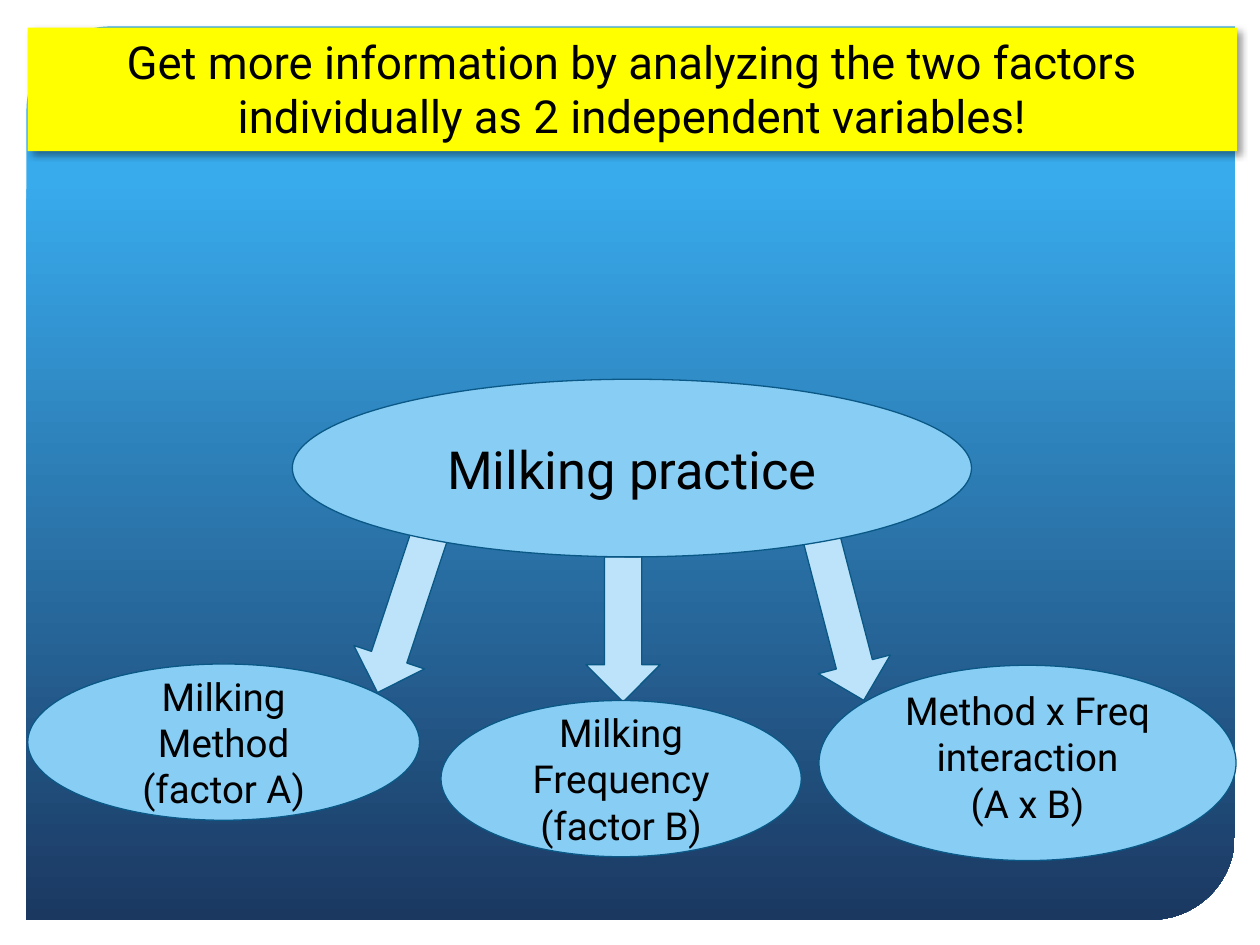
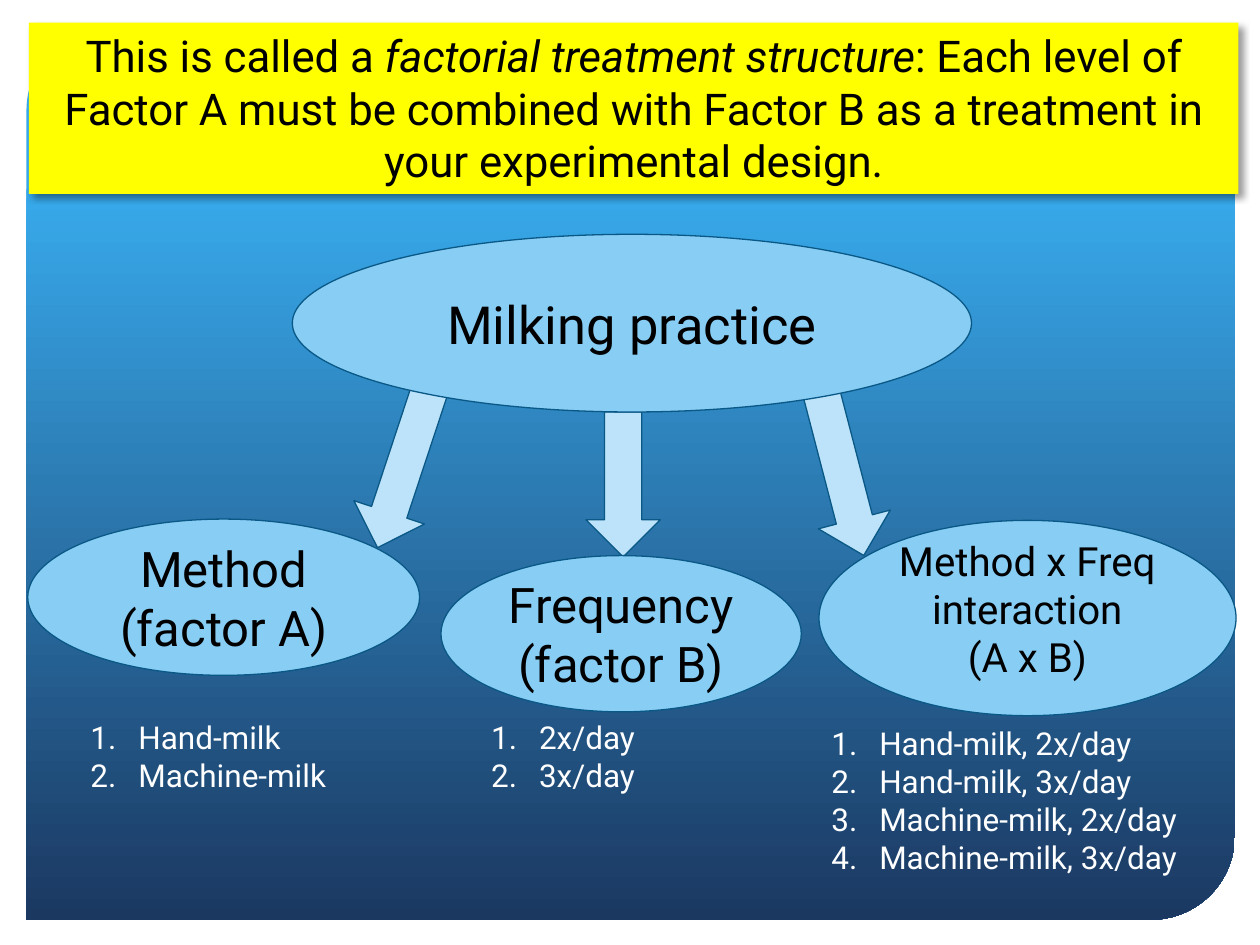
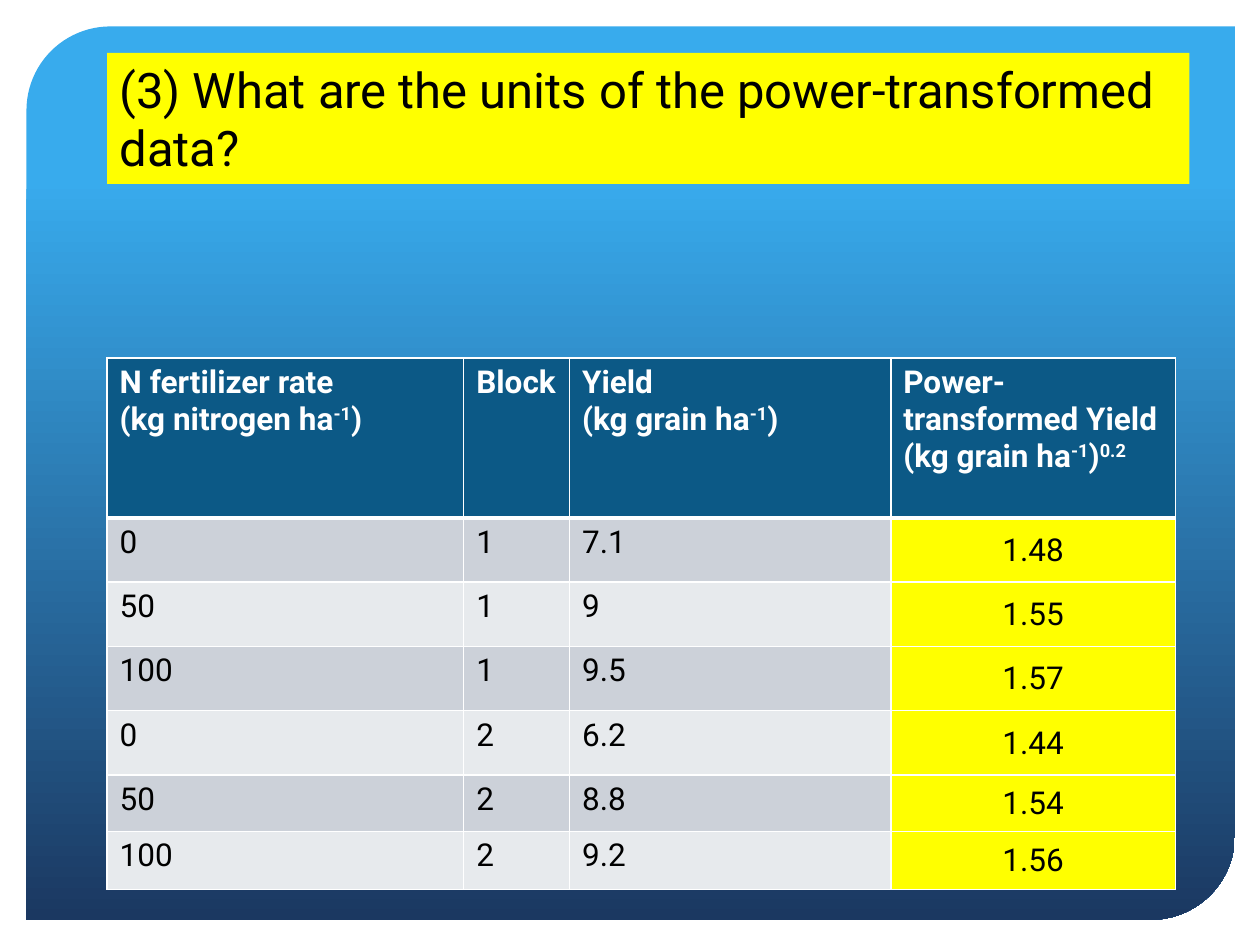
"""Build three slides on factorial treatments and power-transformed yields."""
from typing import NamedTuple

from lxml import etree
from pptx import Presentation
from pptx.dml.color import RGBColor
from pptx.enum.shapes import MSO_SHAPE
from pptx.enum.text import MSO_ANCHOR, PP_ALIGN
from pptx.oxml.ns import qn
from pptx.util import Inches, Pt

DIAGONAL, ELLIPSE = MSO_SHAPE.ROUND_2_DIAG_RECTANGLE, MSO_SHAPE.OVAL
ARROW, RECTANGLE = MSO_SHAPE.RIGHT_ARROW, MSO_SHAPE.RECTANGLE
TOP, MIDDLE, BOTTOM = MSO_ANCHOR.TOP, MSO_ANCHOR.MIDDLE, MSO_ANCHOR.BOTTOM
LEFT, CENTER = PP_ALIGN.LEFT, PP_ALIGN.CENTER

FONT = "Roboto"
BLACK = RGBColor(0x00, 0x00, 0x00)
WHITE = RGBColor(0xFF, 0xFF, 0xFF)
YELLOW = RGBColor(0xFF, 0xFF, 0x00)
SKY = RGBColor(0x38, 0xAB, 0xED)
NAVY = RGBColor(0x1B, 0x38, 0x61)
NODE_BLUE = RGBColor(0x88, 0xCD, 0xF4)
ARROW_BLUE = RGBColor(0xBC, 0xE3, 0xF9)
OUTLINE = RGBColor(0x09, 0x58, 0x86)
HEADER_BLUE = RGBColor(0x0C, 0x59, 0x86)
BANDS = (RGBColor(0xCC, 0xD1, 0xD9), RGBColor(0xE7, 0xEA, 0xED))


class Span(NamedTuple):
    """A run of text with its emphasis."""

    text: str
    italic: bool = False
    raised: bool = False


class Area(NamedTuple):
    """A rectangle in inches."""

    left: float
    top: float
    width: float
    height: float

    def lowered(self, distance: float) -> "Area":
        """Return the same rectangle further down."""
        return self._replace(top=self.top + distance)

    def lengths(self) -> tuple:
        """Return the four lengths for python-pptx."""
        return tuple(Inches(value) for value in self)


class Node(NamedTuple):
    """An ellipse of the diagram, placed from the diagram's top."""

    area: Area
    anchor: MSO_ANCHOR = MIDDLE


class Arrow(NamedTuple):
    """A block arrow of the diagram, placed from the diagram's top."""

    area: Area
    rotation: float


class Label(NamedTuple):
    """The lines written in a node and their size."""

    lines: tuple
    size: int


class NumberedList(NamedTuple):
    """A numbered list below a node."""

    area: Area
    items: tuple


PANEL = Area(0.21, 0.21, 9.59, 7.09)
ARROWS = (
    Arrow(Area(2.54, 1.56, 1.33, 0.59), 108.3),
    Arrow(Area(4.37, 1.69, 1.15, 0.59), 90),
    Arrow(Area(6.01, 1.6, 1.35, 0.59), 75.4),
)
PRACTICE = Node(Area(2.32, 0, 5.39, 1.41))
INTERACTION = Node(Area(6.5, 2.27, 3.31, 1.55), BOTTOM)
FREQUENCY = Node(Area(3.5, 2.55, 2.86, 1.24))
METHOD = Node(Area(0.22, 2.26, 3.11, 1.24))
NODES = (PRACTICE, INTERACTION, FREQUENCY, METHOD)
PRACTICE_LABEL = Label(("Milking practice",), 30)
INTERACTION_LINES = ("Method x Freq interaction", "(A x B)")

SEPARATE_LABELS = (
    PRACTICE_LABEL,
    Label(INTERACTION_LINES, 22),
    Label(("Milking Frequency", "(factor B)"), 22),
    Label(("Milking Method (factor A)",), 22),
)
FACTORIAL_LABELS = (
    PRACTICE_LABEL,
    Label(INTERACTION_LINES, 23),
    Label(("Frequency", "(factor B)"), 28),
    Label(("Method (factor A)",), 28),
)
METHODS = ("Hand-milk", "Machine-milk")
FREQUENCIES = ("2x/day", "3x/day")
LEVEL_LISTS = (
    NumberedList(Area(0.62, 5.65, 2.1, 0.71), METHODS),
    NumberedList(Area(3.8, 5.65, 1.63, 0.71), FREQUENCIES),
    NumberedList(
        Area(6.5, 5.7, 3.32, 1.62),
        tuple(f"{method}, {rate}" for method in METHODS for rate in FREQUENCIES),
    ),
)

TABLE_AREA = Area(0.85, 2.84, 8.48, 4.22)
COLUMN_WIDTHS = (2.83, 0.84, 2.55, 2.26)
ROW_HEIGHTS = (1.27, 0.51, 0.51, 0.51, 0.51, 0.45, 0.46)
PER_HECTARE = (Span("(kg grain ha"), Span("-1", raised=True), Span(")"))
HEADERS = (
    (
        (Span("N fertilizer rate"),),
        (Span("(kg nitrogen ha"), Span("-1", raised=True), Span(")")),
    ),
    ((Span("Block"),),),
    ((Span("Yield"),), PER_HECTARE),
    (
        (Span("Power-transformed Yield"),),
        PER_HECTARE + (Span("0.2", raised=True),),
    ),
)
YIELDS = (
    ("0", "1", "7.1", "1.48"),
    ("50", "1", "9", "1.55"),
    ("100", "1", "9.5", "1.57"),
    ("0", "2", "6.2", "1.44"),
    ("50", "2", "8.8", "1.54"),
    ("100", "2", "9.2", "1.56"),
)


def plain(lines: tuple) -> tuple:
    """Turn lines of text into paragraphs of one span."""
    return tuple((Span(line),) for line in lines)


def write(frame, paragraphs: tuple, size: int, color: RGBColor = BLACK,
          align: PP_ALIGN = LEFT, bold: bool = False) -> None:
    """Fill a text frame run by run."""
    for index, spans in enumerate(paragraphs):
        para = frame.paragraphs[0] if index == 0 else frame.add_paragraph()
        para.alignment = align
        for span in spans:
            run = para.add_run()
            run.text = span.text
            run.font.name = FONT
            run.font.size = Pt(size)
            run.font.bold = bold
            run.font.italic = span.italic
            run.font.color.rgb = color
            if span.raised:
                run._r.get_or_add_rPr().set("baseline", "30000")


def add_box(page, kind: MSO_SHAPE, area: Area, fill: RGBColor | None = None,
            outlined: bool = False):
    """Add a preset shape without the theme's shadow."""
    box = page.shapes.add_shape(kind, *area.lengths())
    box.shadow.inherit = False
    if fill is not None:
        box.fill.solid()
        box.fill.fore_color.rgb = fill
    if outlined:
        box.line.color.rgb = OUTLINE
        box.line.width = Pt(0.75)
    else:
        box.line.fill.background()
    return box


def add_page(deck):
    """Add a blank slide with the gradient panel."""
    page = deck.slides.add_slide(deck.slide_layouts[6])
    panel = add_box(page, DIAGONAL, PANEL)
    panel.adjustments[0] = 0.094
    panel.adjustments[1] = 0
    panel.fill.gradient()
    panel.fill.gradient_angle = 270
    stops = ((0.17, SKY), (1.0, NAVY))
    for stop, (position, color) in zip(panel.fill.gradient_stops, stops):
        stop.position = position
        stop.color.rgb = color
    return page


def add_shadow(box) -> None:
    """Cast a soft shadow to the lower right."""
    effects = box._element.spPr.find(qn("a:effectLst"))
    shadow = etree.SubElement(
        effects, qn("a:outerShdw"), blurRad=str(Pt(4)), dist=str(Pt(3)),
        dir="2700000", algn="tl", rotWithShape="0",
    )
    color = etree.SubElement(shadow, qn("a:srgbClr"), val=str(BLACK))
    etree.SubElement(color, qn("a:alpha"), val="40000")


def add_banner(page, area: Area, spans: tuple, size: int,
               align: PP_ALIGN = CENTER, shadowed: bool = True) -> None:
    """Add the yellow headline."""
    banner = add_box(page, RECTANGLE, area, YELLOW)
    if shadowed:
        add_shadow(banner)
    banner.text_frame.word_wrap = True
    banner.text_frame.vertical_anchor = TOP
    write(banner.text_frame, (spans,), size, align=align)


def add_diagram(page, top: float, labels: tuple) -> None:
    """Add the milking practice and its three effects."""
    for arrow in ARROWS:
        box = add_box(page, ARROW, arrow.area.lowered(top), ARROW_BLUE, True)
        box.rotation = arrow.rotation
    for node, label in zip(NODES, labels):
        box = add_box(page, ELLIPSE, node.area.lowered(top), NODE_BLUE, True)
        box.text_frame.word_wrap = True
        box.text_frame.vertical_anchor = node.anchor
        write(box.text_frame, plain(label.lines), label.size, align=CENTER)


def add_numbered_list(page, levels: NumberedList) -> None:
    """Add a numbered list of factor levels."""
    frame = page.shapes.add_textbox(*levels.area.lengths()).text_frame
    frame.word_wrap = True
    write(frame, plain(levels.items), 18, WHITE)
    for para in frame.paragraphs:
        properties = para._p.get_or_add_pPr()
        properties.set("marL", str(Inches(0.38)))
        properties.set("indent", str(Inches(-0.38)))
        etree.SubElement(properties, qn("a:buAutoNum"), type="arabicPeriod")


def style_cell(cell, fill: RGBColor, top: float, bottom: float) -> None:
    """Give a cell white borders and a plain fill."""
    properties = cell._tc.get_or_add_tcPr()
    for side, width in (("L", 1), ("R", 1), ("T", top), ("B", bottom)):
        line = etree.SubElement(properties, qn(f"a:ln{side}"), w=str(Pt(width)))
        paint = etree.SubElement(line, qn("a:solidFill"))
        etree.SubElement(paint, qn("a:srgbClr"), val=str(WHITE))
    cell.fill.solid()
    cell.fill.fore_color.rgb = fill


def add_yield_table(page) -> None:
    """Add the yields with the transformed column highlighted."""
    table = page.shapes.add_table(
        len(ROW_HEIGHTS), len(COLUMN_WIDTHS), *TABLE_AREA.lengths()
    ).table
    for column, width in zip(table.columns, COLUMN_WIDTHS):
        column.width = Inches(width)
    for row, height in zip(table.rows, ROW_HEIGHTS):
        row.height = Inches(height)
    for column, header in enumerate(HEADERS):
        cell = table.cell(0, column)
        style_cell(cell, HEADER_BLUE, 1, 3)
        write(cell.text_frame, header, 18, WHITE, bold=True)
    for row, values in enumerate(YIELDS, start=1):
        for column, value in enumerate(values):
            cell = table.cell(row, column)
            transformed = column == len(values) - 1
            fill = YELLOW if transformed else BANDS[(row - 1) % 2]
            style_cell(cell, fill, 3 if row == 1 else 1, 1)
            if transformed:
                cell.vertical_anchor = MIDDLE
                cell.margin_left = cell.margin_right = Inches(0.01)
                cell.margin_top = Inches(0.01)
                cell.margin_bottom = Inches(0)
            write(cell.text_frame, plain((value,)), 18,
                  align=CENTER if transformed else LEFT)


def main() -> None:
    """Build and save the deck."""
    deck = Presentation()
    deck.slide_width, deck.slide_height = Inches(10), Inches(7.5)

    page = add_page(deck)
    add_diagram(page, 3.01, SEPARATE_LABELS)
    add_banner(page, Area(0.22, 0.22, 9.6, 0.98), (
        Span("Get more information by analyzing the two factors "
             "individually as 2 independent variables!"),
    ), 26)

    page = add_page(deck)
    add_banner(page, Area(0.23, 0.18, 9.6, 1.36), (
        Span("This is called a "),
        Span("factorial treatment structure", italic=True),
        Span(": Each level of Factor A must be combined with Factor B "
             "as a treatment in your experimental design."),
    ), 25)
    add_diagram(page, 1.86, FACTORIAL_LABELS)
    for levels in LEVEL_LISTS:
        add_numbered_list(page, levels)

    page = add_page(deck)
    add_yield_table(page)
    add_banner(page, Area(0.85, 0.42, 8.59, 1.04), (
        Span("(3) What are the units of the power-transformed data?"),
    ), 28, LEFT, shadowed=False)

    deck.save("out.pptx")


if __name__ == "__main__":
    main()
